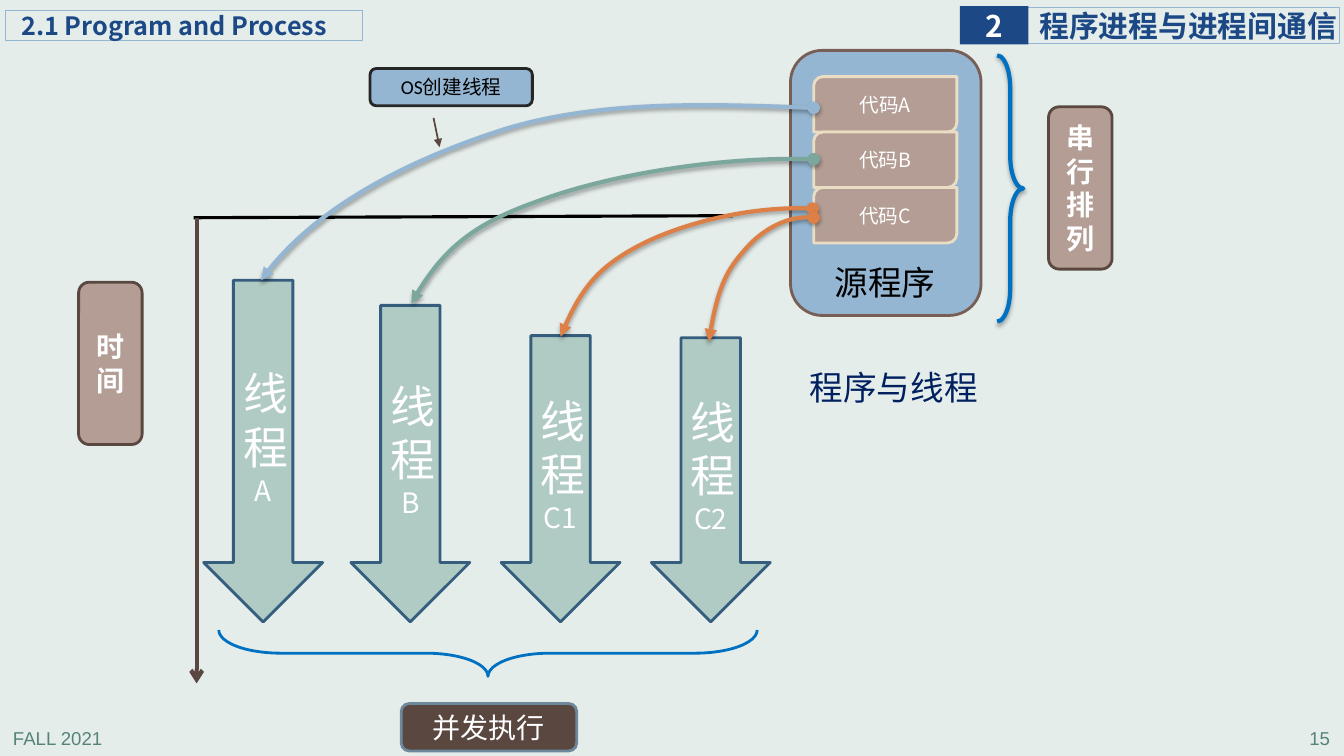
from dataclasses import dataclass
from typing import Optional

from lxml.etree import SubElement
from pptx import Presentation
from pptx.dml.color import RGBColor
from pptx.enum.shapes import MSO_CONNECTOR as Link, MSO_SHAPE as Kind
from pptx.enum.text import MSO_ANCHOR as Anchor, PP_ALIGN as Align
from pptx.oxml.ns import qn
from pptx.util import Inches, Pt

SANS = "Noto Sans CJK SC"
WHITE = RGBColor(0xFF, 0xFF, 0xFF)
BLACK = RGBColor(0x00, 0x00, 0x00)
MIST = RGBColor(0xE5, 0xED, 0xEB)
FOOTER = RGBColor(0x57, 0x82, 0x79)
NAVY = RGBColor(0x1C, 0x48, 0x85)
TITLE = RGBColor(0x00, 0x20, 0x60)
SKY = RGBColor(0x94, 0xB6, 0xD2)
SAGE = RGBColor(0xB0, 0xCA, 0xC4)
TEAL = RGBColor(0x7B, 0xA7, 0x9D)
STEEL = RGBColor(0x35, 0x5D, 0x7E)
SLATE = RGBColor(0x6D, 0x87, 0x9B)
COCOA = RGBColor(0x59, 0x47, 0x40)
BROWN = RGBColor(0x77, 0x5F, 0x55)
ROSE = RGBColor(0xB3, 0x9D, 0x94)
SAND = RGBColor(0xEB, 0xDD, 0xC3)
COAL = RGBColor(0x26, 0x26, 0x26)
ORANGE = RGBColor(0xDD, 0x80, 0x47)
BLUE = RGBColor(0x00, 0x70, 0xC0)

ARROW_BOTTOM = 6.17
CODE_HEIGHT = 0.55


@dataclass
class Label:
    """A box, or a plain text box when kind is None; spans pair text with size."""
    at: tuple[float, float, float, float]
    spans: tuple[tuple[str, float], ...] = ()
    kind: Optional[Kind] = None
    fill: Optional[RGBColor] = None
    edge: Optional[RGBColor] = None
    edge_width: float = 2
    color: RGBColor = WHITE
    bold: bool = False
    font: str = SANS
    align: Align = Align.CENTER
    anchor: Anchor = Anchor.MIDDLE
    margins: tuple[float, float, float, float] = (0.1, 0.05, 0.1, 0.05)
    wrap: bool = True
    line_spacing: Optional[float] = None


@dataclass
class Curve:
    """Cubic curve points: a start, then two controls and an end per segment."""
    color: RGBColor
    points: tuple[tuple[float, float], ...]


@dataclass
class Stroke:
    start: tuple[float, float]
    end: tuple[float, float]
    color: RGBColor
    width: float
    tail: str = ""


@dataclass
class Brace:
    at: tuple[float, float, float, float]
    bend: float
    width: float
    rotation: int = 0
    mirrored: bool = False
    shaded: bool = False


def write(box, label: Label) -> None:
    frame = box.text_frame
    left, top, right, bottom = map(Inches, label.margins)
    formats = {"word_wrap": label.wrap, "vertical_anchor": label.anchor,
               "margin_left": left, "margin_top": top,
               "margin_right": right, "margin_bottom": bottom}
    for name, value in formats.items():
        setattr(frame, name, value)
    para = frame.paragraphs[0]
    para.alignment = label.align
    para.line_spacing = label.line_spacing
    for text, size in label.spans:
        span = para.add_run()
        span.text = text
        for name, value in {"size": Pt(size), "bold": label.bold, "name": label.font}.items():
            setattr(span.font, name, value)
        span.font.color.rgb = label.color
        SubElement(span.font._element, qn("a:ea"), typeface=SANS)


def draw_label(page, label: Label) -> None:
    at = map(Inches, label.at)
    if label.kind is None:
        box = page.shapes.add_textbox(*at)
    else:
        box = page.shapes.add_shape(label.kind, *at)
        box.shadow.inherit = False
        if label.fill is None:
            box.fill.background()
        else:
            box.fill.solid()
            box.fill.fore_color.rgb = label.fill
        if label.edge is None:
            box.line.fill.background()
        else:
            paint_line(box, label.edge, label.edge_width)
    if label.spans:
        write(box, label)


def paint_line(shape, color: RGBColor, width: float, head: str = "", tail: str = "") -> None:
    shape.line.color.rgb = color
    shape.line.width = Pt(width)
    for tag, end in (("a:headEnd", head), ("a:tailEnd", tail)):
        if end:
            SubElement(shape.line._get_or_add_ln(), qn(tag), type=end)


def cast_shadow(shape) -> None:
    effects = shape._element.spPr.find(qn("a:effectLst"))
    shadow = SubElement(effects, qn("a:outerShdw"), blurRad=str(Pt(3.1)), dist=str(Pt(1.8)),
                        dir="5400000", rotWithShape="0")
    color = SubElement(shadow, qn("a:srgbClr"), val="000000")
    SubElement(color, qn("a:alpha"), val="35000")


def draw_curve(page, curve: Curve) -> None:
    start, *others = [(Inches(x), Inches(y)) for x, y in curve.points]
    builder = page.shapes.build_freeform(*start)
    builder.add_line_segments(others, close=False)
    shape = builder.convert_to_shape()
    path = next(shape._element.iter(qn("a:path")))
    lines = path.findall(qn("a:lnTo"))
    for first in range(0, len(lines), 3):
        bezier = SubElement(path, qn("a:cubicBezTo"))
        for line in lines[first:first + 3]:
            bezier.append(line[0])
            path.remove(line)
    shape.fill.background()
    paint_line(shape, curve.color, 3, head="oval", tail="triangle")
    shape.shadow.inherit = False
    cast_shadow(shape)


def draw_stroke(page, stroke: Stroke) -> None:
    ends = map(Inches, stroke.start + stroke.end)
    line = page.shapes.add_connector(Link.STRAIGHT, *ends)
    paint_line(line, stroke.color, stroke.width, tail=stroke.tail)
    SubElement(line._element.spPr, qn("a:effectLst"))


def draw_brace(page, brace: Brace) -> None:
    shape = page.shapes.add_shape(Kind.LEFT_BRACE, *map(Inches, brace.at))
    shape.adjustments[0] = brace.bend
    shape.adjustments[1] = 0.5
    shape.rotation = brace.rotation
    if brace.mirrored:
        shape._element.spPr.xfrm.set("flipH", "1")
    shape.fill.background()
    paint_line(shape, BLUE, brace.width)
    shape.shadow.inherit = False
    if brace.shaded:
        cast_shadow(shape)


def thread(name: str, left: float, top: float) -> Label:
    return Label((left, top, 1.18, ARROW_BOTTOM - top), (("线程", 32), (name, 20)),
                 Kind.DOWN_ARROW, SAGE, STEEL)


def code(row: int, name: str) -> Label:
    return Label((8.07, 0.76 + row * CODE_HEIGHT, 1.42, CODE_HEIGHT), ((f"代码{name}", 14),),
                 Kind.ROUND_2_DIAG_RECTANGLE, ROSE, SAND)


def side_sign(text: str, left: float, top: float) -> Label:
    return Label((left, top, 0.63, 1.61), ((text, 20),), Kind.ROUNDED_RECTANGLE,
                 ROSE, COCOA, bold=True)


def footer(text: str, left: float, align: Align) -> Label:
    return Label((left, 7.16, 2.78, 0.31), ((text, 13.3),), color=FOOTER, font="Arial",
                 align=align, anchor=Anchor.TOP)


def heading(text: str, size: float, at: tuple[float, float, float, float], indent: float) -> Label:
    return Label(at, ((text, size),), Kind.RECTANGLE, edge=SKY, edge_width=0.75, color=NAVY,
                 bold=True, align=Align.LEFT, margins=(indent, 0, 0, 0))


ITEMS = (
    footer("FALL 2021", 0.03, Align.LEFT), footer("15", 10.51, Align.RIGHT),
    heading("程序进程与进程间通信", 21.3, (10.19, 0.07, 3.1, 0.36), 0.12),
    Label((9.52, 0.06, 0.68, 0.38), (("2", 21.3),), Kind.RECTANGLE, NAVY, bold=True,
          margins=(0, 0, 0, 0), wrap=False),
    heading("2.1 Program and Process", 18, (0.05, 0.1, 3.55, 0.3), 0.16),
    Label((7.95, 3.43, 1.84, 0.87), (("程序与线程", 24),), color=TITLE, align=Align.LEFT,
          margins=(0.08, 0.04, 0.08, 0.04), line_spacing=0.9),
    thread("A", 2.02, 2.78),
    Stroke((1.92, 2.16), (7.27, 2.14), BLACK, 2.25),
    Stroke((1.95, 2.16), (1.95, 6.78), COCOA, 3, "arrow"),
    thread("B", 3.48, 3.03), thread("C1", 4.97, 3.33), thread("C2", 6.46, 3.35),
    Label((7.84, 0.5, 1.89, 2.63), (), Kind.ROUNDED_RECTANGLE, SKY, BROWN),
    *(code(row, name) for row, name in enumerate("ABC")),
    Label((8.18, 2.55, 1.21, 0.5), (("源程序", 24),), color=BLACK, align=Align.LEFT,
          anchor=Anchor.TOP, wrap=False),
    Curve(SKY, ((8.07, 1.07), (7, 1.03), (5.93, 1), (5.01, 1.28),
                (4.1, 1.57), (3.1, 2.06), (2.59, 2.78))),
    Curve(TEAL, ((8.07, 1.58), (7.13, 1.55), (6.04, 1.74), (5.38, 1.98),
                 (4.71, 2.21), (4.37, 2.49), (4.08, 3.01))),
    Curve(ORANGE, ((8.06, 2.07), (7.47, 2.04), (6.79, 2.21), (6.37, 2.42),
                   (5.96, 2.63), (5.75, 2.87), (5.56, 3.34))),
    Curve(ORANGE, ((8.07, 2.16), (7.82, 2.13), (7.54, 2.29), (7.37, 2.5),
                   (7.19, 2.7), (7.1, 2.94), (7.03, 3.39))),
    Label((3.67, 0.68, 1.61, 0.37), (("OS创建线程", 14),), Kind.ROUNDED_RECTANGLE, SKY, COAL,
          color=BLACK, font="Calibri"),
    Stroke((4.3, 1.17), (4.36, 1.46), COCOA, 1.25, "triangle"),
    Brace((4.61, 3.81, 0.46, 5.34), 1.34, 2, rotation=270),
    Brace((9.89, 0.55, 0.26, 2.64), 1.25, 3, mirrored=True, shaded=True),
    side_sign("串行排列", 10.4, 1.06),
    Label((3.98, 6.98, 1.74, 0.47), (("并发执行", 20),), Kind.FLOWCHART_ALTERNATE_PROCESS,
          COCOA, SLATE),
    side_sign("时间", 0.78, 2.8),
)
PAINTERS = {Label: draw_label, Curve: draw_curve, Stroke: draw_stroke, Brace: draw_brace}


def main() -> None:
    deck = Presentation()
    deck.slide_width, deck.slide_height = Inches(13.33), Inches(7.5)
    page = deck.slides.add_slide(deck.slide_layouts[6])
    page.background.fill.solid()
    page.background.fill.fore_color.rgb = MIST
    for item in ITEMS:
        PAINTERS[type(item)](page, item)
    deck.save("out.pptx")


if __name__ == "__main__":
    main()
